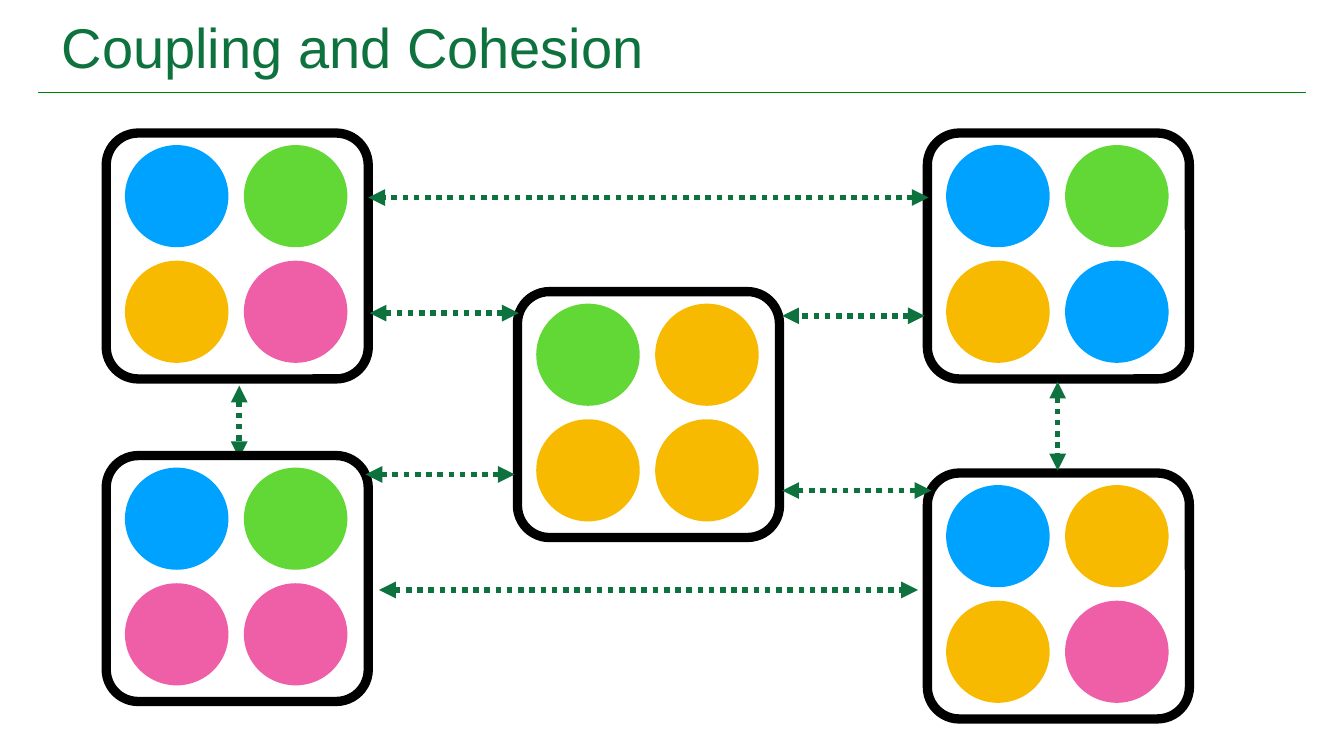
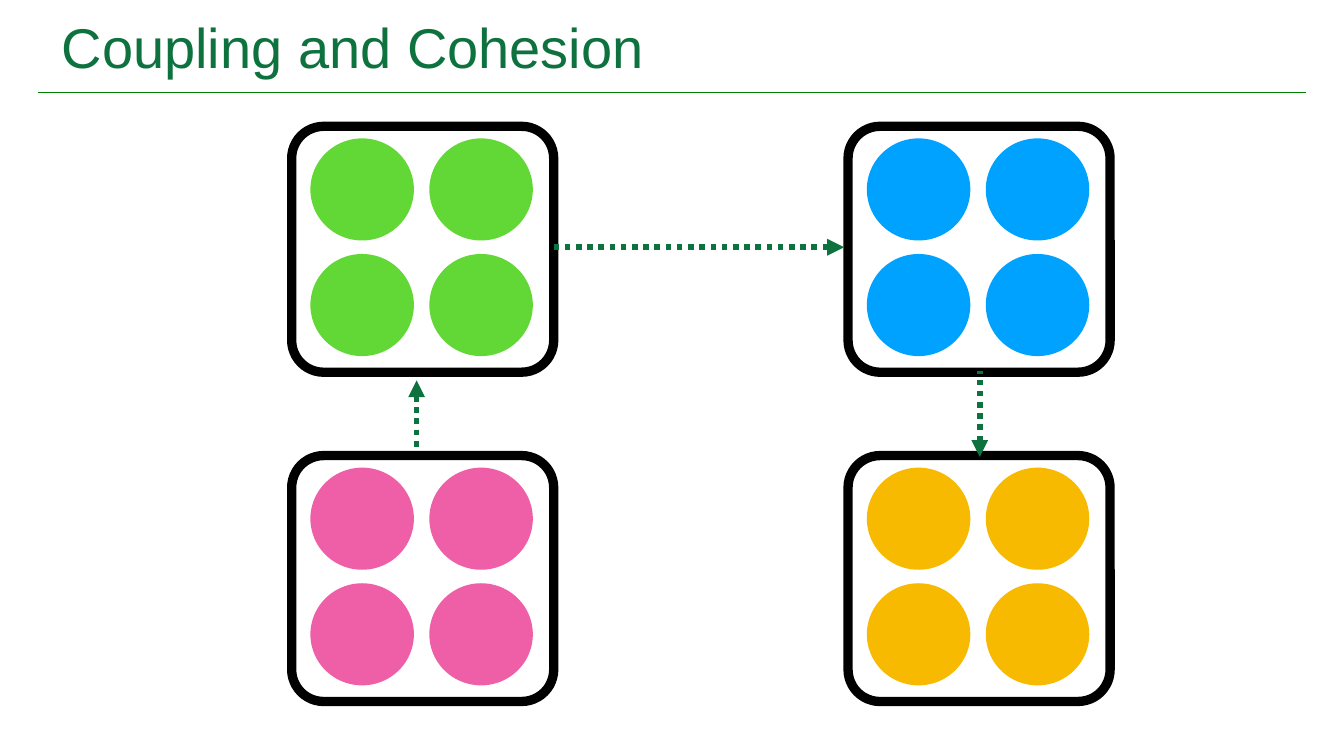
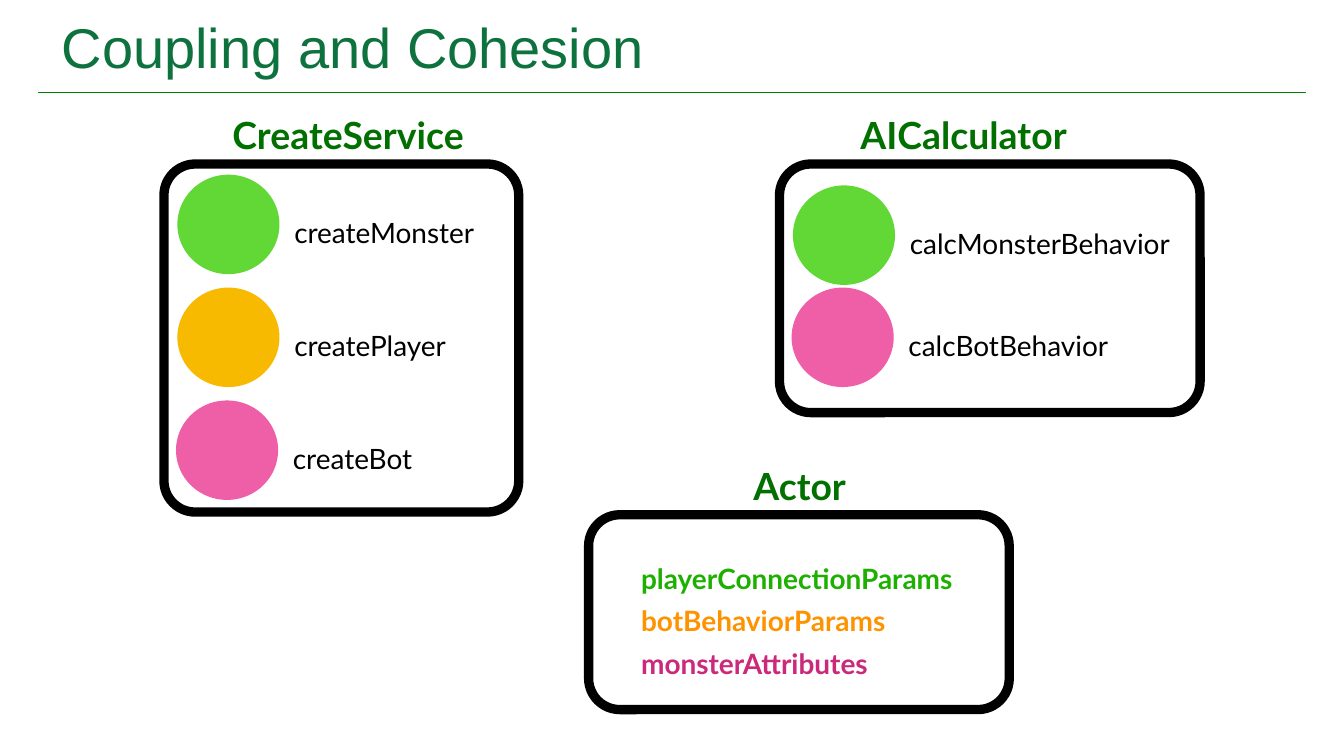
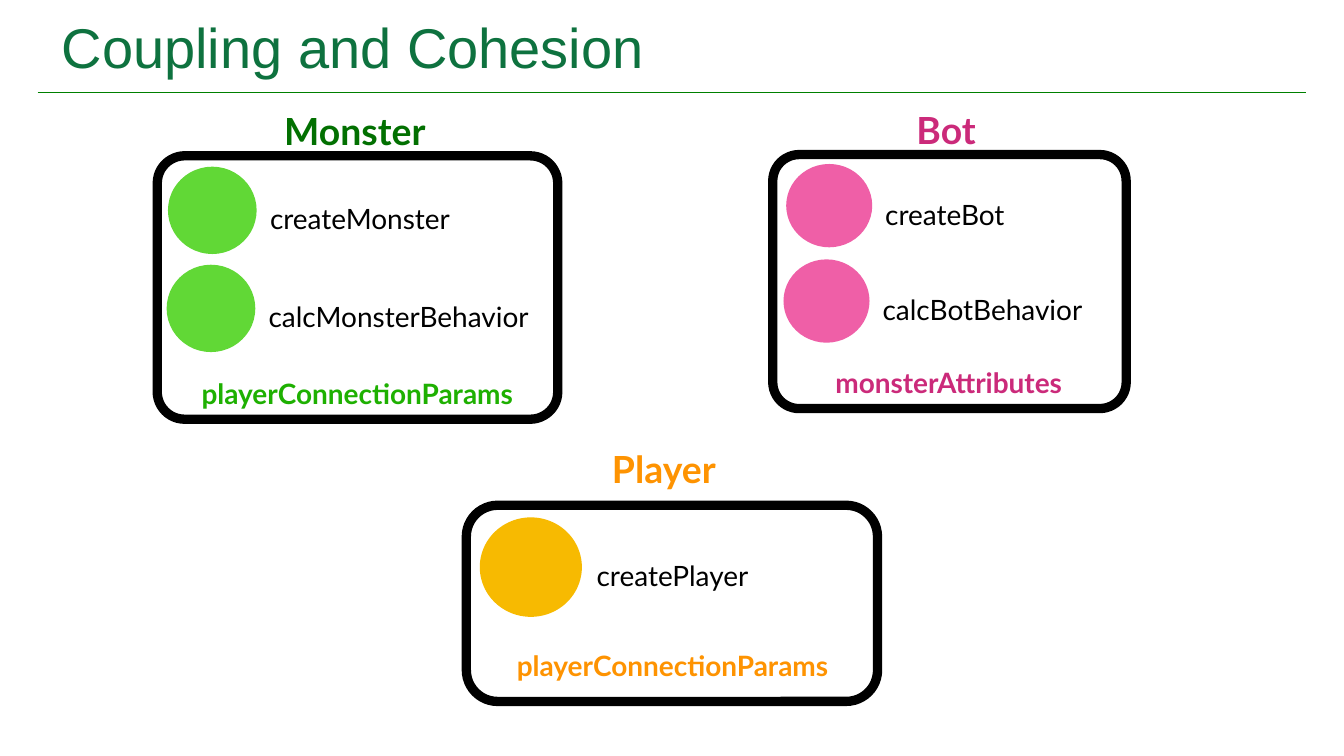
from lxml import etree
from pptx import Presentation
from pptx.dml.color import RGBColor
from pptx.enum import dml, shapes, text
from pptx.oxml import ns
from pptx.util import Inches, Pt

WHITE = RGBColor(0xFF, 0xFF, 0xFF)
BLACK = RGBColor(0, 0, 0)
TEAL = RGBColor(0x0E, 0x72, 0x3F)
RULE = RGBColor(0, 0x80, 0)
BLUE = RGBColor(0, 0xA2, 0xFF)
LIME = RGBColor(0x61, 0xD8, 0x36)
GOLD = RGBColor(0xF7, 0xBA, 0x01)
PINK = RGBColor(0xEF, 0x5F, 0xA7)
DEEP = RGBColor(0x02, 0x70, 0x01)
LEAF = RGBColor(0x1E, 0xB0, 0x01)
AMBER = RGBColor(0xFE, 0x93, 0x01)
PLUM = RGBColor(0xCB, 0x2A, 0x7A)

TITLE = "Coupling and Cohesion"
LEFT, MID = text.PP_ALIGN.LEFT, text.PP_ALIGN.CENTER
DOT = (0.76, 0.74)


def inch(box):
    return [Inches(n) for n in box]


def label(host, box, words, size, hue, font="Lato", bold=False, align=LEFT, gap=None):
    shape = host.add_textbox(*inch(box))
    frame = shape.text_frame
    frame.word_wrap = True
    frame.vertical_anchor = text.MSO_ANCHOR.MIDDLE
    frame.margin_left = frame.margin_right = Inches(0.03)
    frame.margin_top = frame.margin_bottom = Inches(0.03)
    para = frame.paragraphs[0]
    para.text = words
    para.alignment = align
    para.line_spacing = gap
    para.font.name = font
    para.font.size = Pt(size)
    para.font.bold = bold
    para.font.color.rgb = hue
    return shape


def line(host, start, end, hue, width):
    link = host.add_connector(shapes.MSO_CONNECTOR.STRAIGHT, *inch(start + end))
    link.line.color.rgb = hue
    link.line.width = Pt(width)
    etree.SubElement(link._element.spPr, ns.qn("a:effectLst"))
    return link


def arrow(host, start, end, both=True):
    link = line(host, start, end, TEAL, 3)
    link.line.dash_style = dml.MSO_LINE.ROUND_DOT
    for tag in ("a:headEnd", "a:tailEnd")[:2 if both else 1]:
        etree.SubElement(link.line._get_or_add_ln(), ns.qn(tag), type="triangle")


def dot(host, box, hue):
    disc = host.add_shape(shapes.MSO_SHAPE.OVAL, *inch(box))
    disc.shadow.inherit = False
    disc.fill.solid()
    disc.fill.fore_color.rgb = hue
    disc.line.fill.background()


def panel(host, box, bend):
    body = host.add_shape(shapes.MSO_SHAPE.ROUNDED_RECTANGLE, *inch(box))
    body.adjustments[0] = bend
    body.shadow.inherit = False
    body.fill.solid()
    body.fill.fore_color.rgb = WHITE
    body.line.color.rgb = BLACK
    body.line.width = Pt(5)


def module(slide, left, top, hues):
    host = slide.shapes.add_group_shape().shapes
    panel(host, (left, top, 1.95, 1.83), 0.13)
    for i, hue in enumerate(hues):
        row, col = divmod(i, 2)
        dot(host, (left + 0.14 + col * 0.885, top + 0.09 + row * 0.86, 0.77, 0.76), hue)


def card(slide, box, bend, head, rows=(), notes=(), size=DOT, align=MID):
    host = slide.shapes.add_group_shape().shapes
    left, top = box[:2]
    wide, high = size
    panel(host, box, bend)
    words, hue, x, y, w, h = head
    label(host, (left + x, top + y, w, h), words, 20, hue, bold=True, align=MID)
    for words, hue, x, y, w in rows:
        dot(host, (left + x, top + y, wide, high), hue)
        spot = (left + x + wide * 1.105, top + y + high * 0.3, w, high * 0.4)
        label(host, spot, words, 15, BLACK, gap=1.5)
    for words, hue, x, y, w, h in notes:
        spot = (left + x, top + y, w, h)
        label(host, spot, words, 15, hue, bold=True, align=align, gap=1.5)


def page(deck):
    slide = deck.slides.add_slide(deck.slide_layouts[6])
    line(slide.shapes, (0.28, 0.69), (9.72, 0.69), RULE, 0.75)
    head = label(slide.shapes, (0.43, 0.07, 9.14, 0.55), TITLE, 30, TEAL, "Arial")
    head.text_frame.auto_size = text.MSO_AUTO_SIZE.SHAPE_TO_FIT_TEXT
    return slide


def tangle(deck):
    slide = page(deck)
    arrow(slide.shapes, (1.78, 2.87), (1.78, 3.41))
    for left, top, hues in (
        (0.79, 0.99, (BLUE, LIME, GOLD, PINK)),
        (6.9, 0.99, (BLUE, LIME, GOLD, BLUE)),
        (0.79, 3.39, (BLUE, LIME, PINK, PINK)),
        (6.9, 3.52, (BLUE, GOLD, GOLD, PINK)),
        (3.85, 2.17, (LIME, GOLD, GOLD, GOLD)),
    ):
        module(slide, left, top, hues)
    for start, end in (
        ((2.75, 2.33), (3.86, 2.33)),
        ((2.72, 3.53), (3.83, 3.53)),
        ((6.91, 1.47), (2.74, 1.47)),
        ((6.88, 2.35), (5.82, 2.35)),
        ((6.93, 3.65), (5.82, 3.65)),
        ((2.82, 4.39), (6.83, 4.39)),
        ((7.87, 2.84), (7.87, 3.5)),
    ):
        arrow(slide.shapes, start, end)


def tidy(deck):
    slide = page(deck)
    for i, hue in enumerate((LIME, BLUE, PINK, GOLD)):
        row, col = divmod(i, 2)
        module(slide, 2.17 + col * 4.14, 0.94 + row * 2.45, [hue] * 4)
    for start, end in (
        ((6.28, 1.84), (4.12, 1.84)),
        ((3.1, 2.83), (3.1, 3.34)),
        ((7.29, 3.4), (7.29, 2.76)),
    ):
        arrow(slide.shapes, start, end, both=False)


def by_task(deck):
    slide = page(deck)
    card(slide, (1.22, 1.22, 2.64, 2.59), 0.09,
         ("CreateService", DEEP, 0.24, -0.43, 2.26, 0.42),
         [("createMonster", LIME, 0.1, 0.08, 1.7),
          ("createPlayer", GOLD, 0.1, 0.92, 1.7),
          ("createBot", PINK, 0.09, 1.76, 1.7)])
    card(slide, (5.8, 1.22, 3.13, 1.85), 0.126,
         ("AICalculator", DEEP, 0.24, -0.43, 2.26, 0.42),
         [("calcMonsterBehavior", LIME, 0.1, 0.16, 2.42),
          ("calcBotBehavior", PINK, 0.09, 0.92, 2.04)])
    fields = (("playerConnectionParams", LEAF), ("botBehaviorParams", AMBER),
              ("monsterAttributes", PLUM))
    card(slide, (4.38, 3.83, 3.13, 1.45), 0.16,
         ("Actor", DEEP, 0.44, -0.43, 2.26, 0.42),
         notes=[(words, hue, 0.36, 0.26 + i * 0.315, 2.42, 0.3)
                for i, (words, hue) in enumerate(fields)],
         align=LEFT)


def by_type(deck):
    slide = page(deck)
    card(slide, (1.17, 1.16, 2.98, 1.96), 0.104,
         ("Monster", DEEP, 0.02, -0.37, 2.9, 0.37),
         [("createMonster", LIME, 0.08, 0.08, 1.48),
          ("calcMonsterBehavior", LIME, 0.07, 0.81, 2.1)],
         [("playerConnectionParams", LEAF, 0.19, 1.54, 2.6, 0.33)], (0.66, 0.65))
    card(slide, (5.75, 1.15, 2.63, 1.89), 0.104,
         ("Bot", PLUM, -0.02, -0.36, 2.62, 0.35),
         [("createBot", PINK, 0.1, 0.07, 1.43),
          ("calcBotBehavior", PINK, 0.08, 0.78, 1.71)],
         [("monsterAttributes", PLUM, 0.01, 1.48, 2.6, 0.3)], (0.64, 0.62))
    card(slide, (3.47, 3.76, 3.06, 1.46), 0.16,
         ("Player", AMBER, -0.07, -0.48, 3.08, 0.42),
         [("createPlayer", GOLD, 0.1, 0.09, 1.7)],
         [("playerConnectionParams", AMBER, 0.04, 0.98, 2.99, 0.3)])


def main():
    deck = Presentation()
    deck.slide_width = Inches(10)
    deck.slide_height = deck.slide_width * 9 // 16
    for build in (tangle, tidy, by_task, by_type):
        build(deck)
    deck.save("out.pptx")


if __name__ == "__main__":
    main()
